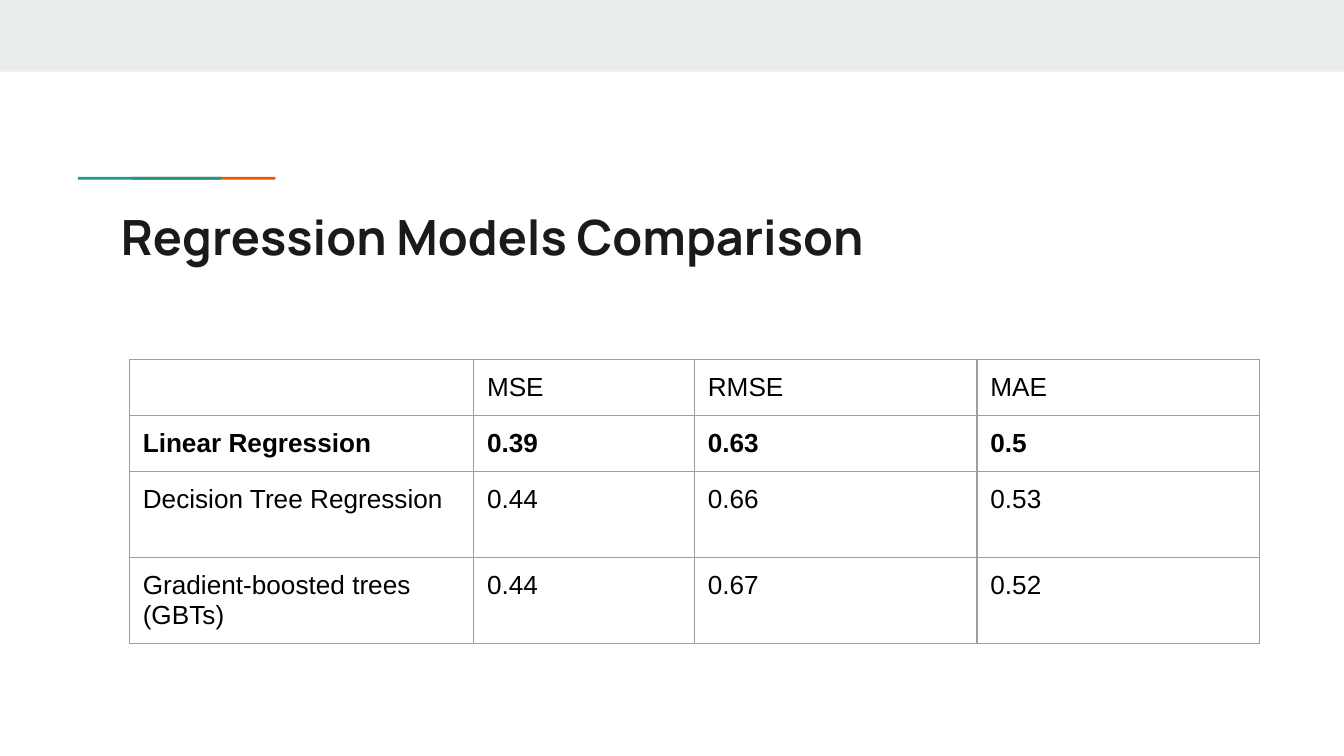
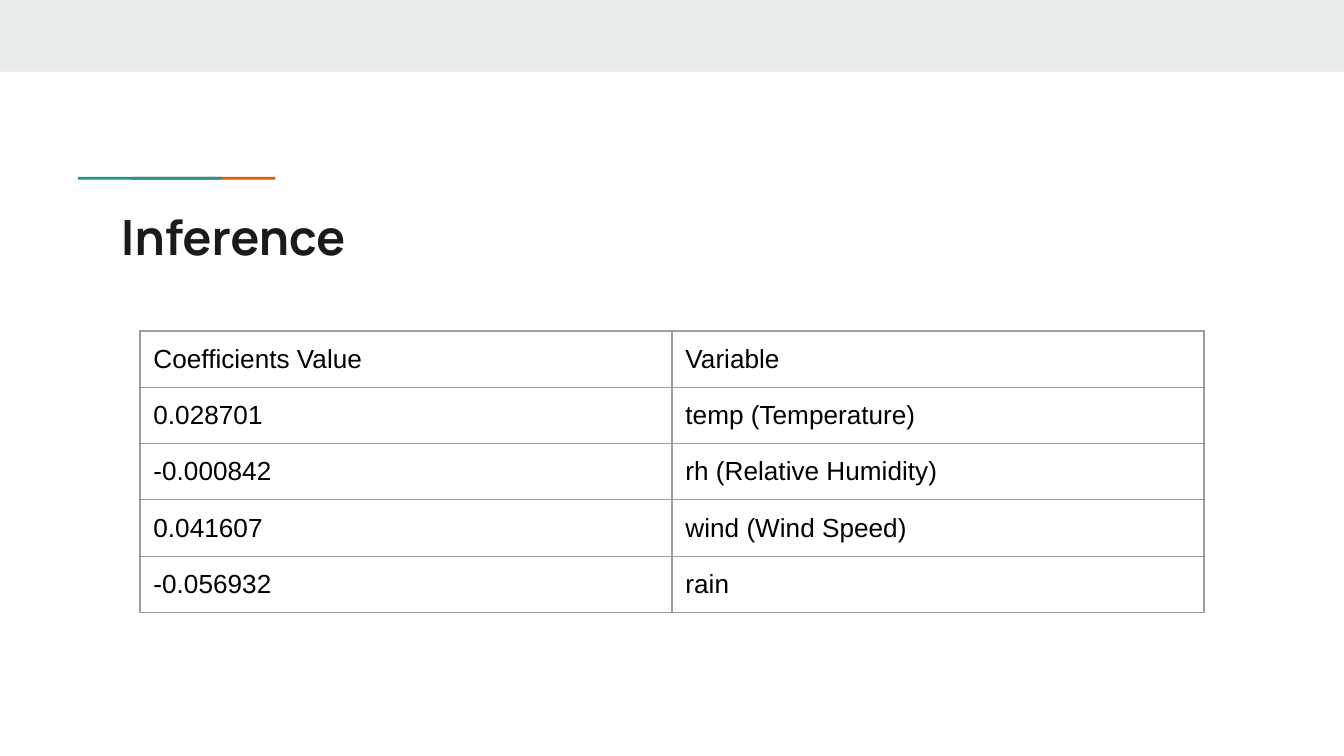
from lxml.etree import SubElement
from pptx import Presentation
from pptx.dml.color import RGBColor
from pptx.enum.shapes import MSO_SHAPE
from pptx.enum.text import MSO_ANCHOR, MSO_AUTO_SIZE, PP_ALIGN
from pptx.oxml.ns import qn
from pptx.util import Pt

BAND = RGBColor(0xE9, 0xED, 0xEE)
TEAL = RGBColor(0x1A, 0x99, 0x88)
ORANGE = RGBColor(0xEB, 0x56, 0x00)
INK = RGBColor(0x1A, 0x1A, 0x1A)
BLACK = RGBColor(0, 0, 0)
GRID = RGBColor(0x9E, 0x9E, 0x9E)

TITLE_FONT = "Manrope"
TABLE_FONT = "Arial"
TABLE_SIZE = 14
INSET = Pt(7.2)
PAGE_WIDTH, PAGE_HEIGHT = 720, 405

MODEL_SCORES = [
    ["", "MSE", "RMSE", "MAE"],
    ["Linear Regression", "0.39", "0.63", "0.5"],
    ["Decision Tree Regression", "0.44", "0.66", "0.53"],
    ["Gradient-boosted trees (GBTs)", "0.44", "0.67", "0.52"],
]
COEFFICIENTS = [
    ["Coefficients Value", "Variable"],
    ["0.028701", "temp (Temperature)"],
    ["-0.000842", "rh (Relative Humidity)"],
    ["0.041607", "wind (Wind Speed)"],
    ["-0.056932", "rain"],
]


def add_bar(page, left, top, width, height, color):
    bar = page.shapes.add_shape(
        MSO_SHAPE.RECTANGLE, Pt(left), Pt(top), Pt(width), Pt(height))
    bar.shadow.inherit = False
    bar.fill.solid()
    bar.fill.fore_color.rgb = color
    bar.line.fill.background()


def add_span(para, text, font_name, size, color, bold):
    span = para.add_run()
    span.text = text
    span.font.name = font_name
    span.font.size = Pt(size)
    span.font.color.rgb = color
    span.font.bold = bold


def set_title(page, text):
    title = page.shapes.title
    title.left, title.top = Pt(57.6), Pt(103.7)
    title.width, title.height = Pt(605.5), Pt(42.5)
    frame = title.text_frame
    frame.margin_left = frame.margin_right = INSET
    frame.margin_top = frame.margin_bottom = INSET
    frame.vertical_anchor = MSO_ANCHOR.TOP
    frame.auto_size = MSO_AUTO_SIZE.NONE
    frame.word_wrap = True
    para = frame.paragraphs[0]
    para.alignment = PP_ALIGN.LEFT
    para.line_spacing = 1.0
    add_span(para, text, TITLE_FONT, 26, INK, True)


def add_page(deck, title):
    page = deck.slides.add_slide(deck.slide_layouts[5])
    add_bar(page, 0, 0, PAGE_WIDTH, 38.4, BAND)
    add_bar(page, 71, 94.8, 76.6, 1.5, ORANGE)
    add_bar(page, 41.8, 94.8, 76.6, 1.5, TEAL)
    set_title(page, title)
    return page


def set_borders(cell):
    properties = cell._tc.get_or_add_tcPr()
    for side in ("a:lnL", "a:lnR", "a:lnT", "a:lnB"):
        line = SubElement(properties, qn(side), w=str(Pt(0.75)))
        fill = SubElement(line, qn("a:solidFill"))
        SubElement(fill, qn("a:srgbClr"), val=str(GRID))


def fill_cell(cell, text, bold):
    cell.margin_left = cell.margin_right = INSET
    cell.margin_top = cell.margin_bottom = INSET
    set_borders(cell)
    cell.fill.background()
    para = cell.text_frame.paragraphs[0]
    if text:
        add_span(para, text, TABLE_FONT, TABLE_SIZE, BLACK, bold)
    else:
        ending = SubElement(para._p, qn("a:endParaRPr"), sz=str(TABLE_SIZE * 100))
        SubElement(ending, qn("a:latin"), typeface=TABLE_FONT)


def add_grid(page, left, top, widths, heights, values, bold_row=None):
    table = page.shapes.add_table(
        len(heights), len(widths), Pt(left), Pt(top),
        Pt(sum(widths)), Pt(sum(heights))).table
    table.first_row = False
    table.horz_banding = False
    for column, width in zip(table.columns, widths):
        column.width = Pt(width)
    for index, (row, height) in enumerate(zip(table.rows, heights)):
        row.height = Pt(height)
        for cell, text in zip(row.cells, values[index]):
            fill_cell(cell, text, index == bold_row)


def main():
    deck = Presentation()
    deck.slide_width, deck.slide_height = Pt(PAGE_WIDTH), Pt(PAGE_HEIGHT)

    page = add_page(deck, "Regression Models Comparison")
    add_grid(page, 69.3, 192.4, [184.4, 118.3, 151.4, 151.4],
             [30, 30, 46, 46], MODEL_SCORES, bold_row=1)

    page = add_page(deck, "Inference")
    add_grid(page, 75, 177.3, [285] * 2, [30] * 5, COEFFICIENTS)

    deck.save("out.pptx")


if __name__ == "__main__":
    main()
